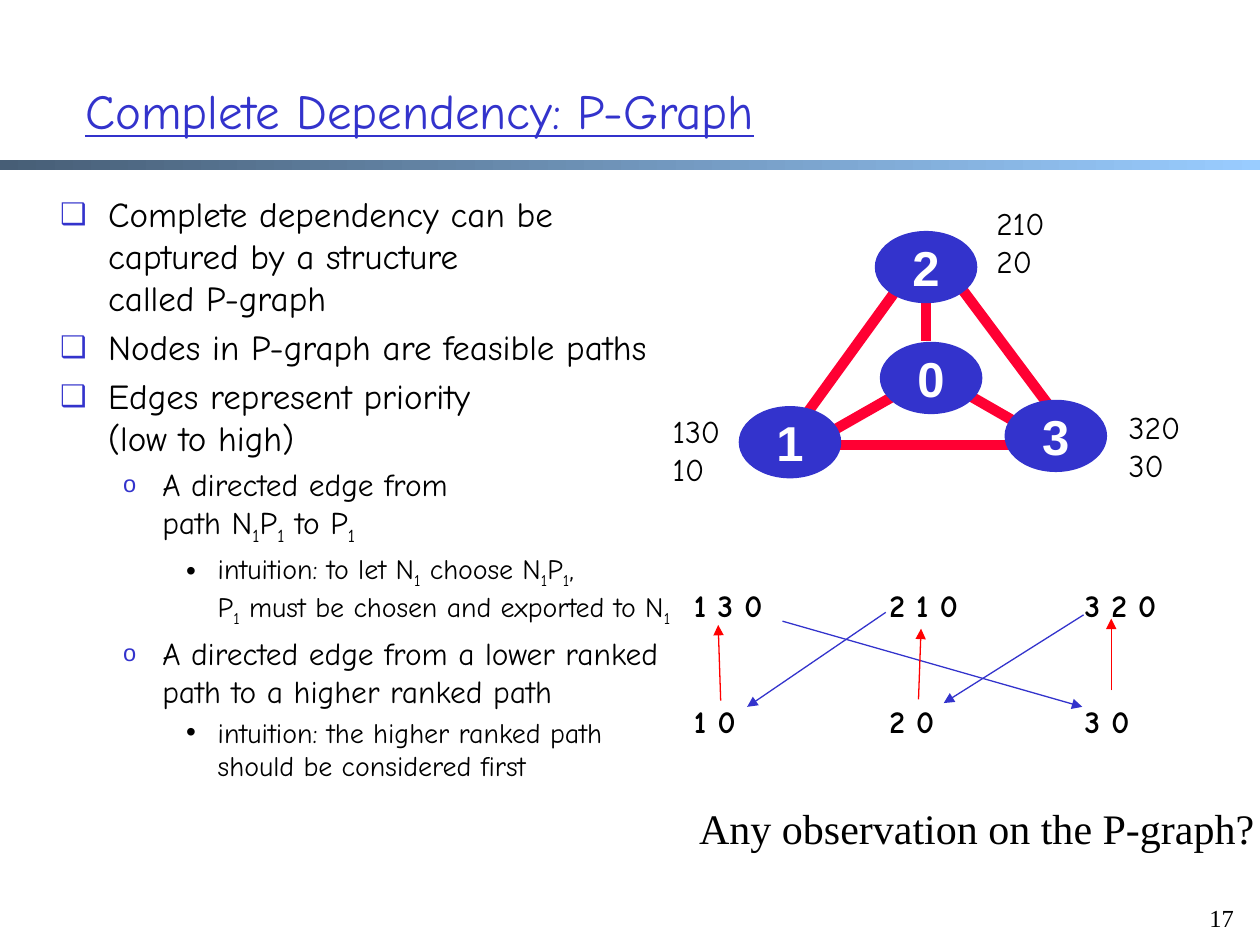
from lxml.etree import SubElement
from pptx import Presentation
from pptx.dml.color import RGBColor
from pptx.enum.shapes import MSO_CONNECTOR, MSO_SHAPE
from pptx.enum.text import MSO_ANCHOR, PP_ALIGN
from pptx.oxml.ns import qn
from pptx.util import Inches, Pt

# Grid of 100 columns by 75 rows; every length below counts its cells
COLUMNS, ROWS = 100, 75
CELL = Inches(10) / COLUMNS
HAND, SANS, SERIF = "Comic Neue", "Arial", "Times New Roman"
BLUE, RED, EDGE, BLACK, WHITE = "3333CC", "FF0000", "FF0033", "000000", "FFFFFF"

# Level: size, left margin, hanging indent (inches), bullet, bullet colour, bullet %
LEVELS = [
    (20, 0.38, 0.38, "❑", BLUE, 85),
    (18, 0.81, 0.31, "o", BLUE, 75),
    (16, 1.25, 0.25, "•", BLACK, 100),
]
# An underscore lowers the character after it
BULLETS = [
    (0, "Complete dependency can be captured by a structure\ncalled P-graph"),
    (0, "Nodes in P-graph are feasible paths"),
    (0, "Edges represent priority \n(low to high)"),
    (1, "A directed edge from \npath N_1P_1 to P_1"),
    (2, "intuition: to let N_1 choose N_1P_1, \n"
        "P_1 must be chosen and exported to N_1"),
    (1, "A directed edge from a lower ranked path to a higher ranked path"),
    (2, "intuition: the higher ranked path should be considered first"),
]


def cells(count):
    return round(count * CELL)


def color(value):
    return RGBColor.from_string(value)


def add_run(paragraph, text, size, font=HAND, ink=BLACK, bold=False):
    run = paragraph.add_run()
    run.text = text
    run.font.size, run.font.name, run.font.bold = Pt(size), font, bold
    run.font.color.rgb = color(ink)
    return run


def add_text(slide, box, lines, size, font=HAND, ink=BLACK, bold=False, wrap=True):
    shape = slide.shapes.add_textbox(*map(cells, box))
    frame = shape.text_frame
    frame.word_wrap = wrap
    for index, line in enumerate(lines):
        paragraph = frame.add_paragraph() if index else frame.paragraphs[0]
        add_run(paragraph, line, size, font, ink, bold)
    return frame


def add_line(slide, origin, start, end, ink, width, arrow=False):
    (left, top), (x1, y1), (x2, y2) = origin, start, end
    line = slide.shapes.add_connector(
        MSO_CONNECTOR.STRAIGHT,
        *map(cells, (left + x1, top + y1, left + x2, top + y2)))
    line.line.color.rgb = color(ink)
    line.line.width = Pt(width)
    properties = line._element.spPr
    if arrow:
        SubElement(properties.find(qn("a:ln")), qn("a:tailEnd"), type="triangle")
    SubElement(properties, qn("a:effectLst"))


def set_bullet(paragraph, margin, indent, mark, ink, percent):
    properties = paragraph._p.get_or_add_pPr()
    properties.set("marL", str(Inches(margin)))
    properties.set("indent", str(-Inches(indent)))
    bullet_color = SubElement(properties, qn("a:buClr"))
    SubElement(bullet_color, qn("a:srgbClr"), val=ink)
    SubElement(properties, qn("a:buSzPct"), val=str(percent * 1000))
    SubElement(properties, qn("a:buFont"), typeface=SANS)
    SubElement(properties, qn("a:buChar"), char=mark)


def add_marked_text(paragraph, text, size):
    for row, line in enumerate(text.split("\n")):
        if row:
            paragraph.add_line_break()
        first, *others = line.split("_")
        add_run(paragraph, first, size)
        for part in others:
            lowered = add_run(paragraph, part[0], size)
            lowered._r.get_or_add_rPr().set("baseline", "-25000")
            if part[1:]:
                add_run(paragraph, part[1:], size)


def build_header(slide, box):
    left, top, width, height = box
    # Gradient rule across the slide
    rule = slide.shapes.add_shape(
        MSO_SHAPE.RECTANGLE, *map(cells, (left, top + 10.2, width, 0.8)))
    rule.shadow.inherit = False
    rule.line.fill.background()
    rule.fill.gradient()
    rule.fill.gradient_angle = 0
    for stop, ink in zip(rule.fill.gradient_stops, ("475E76", "99CCFF")):
        stop.color.rgb = color(ink)
    # Title
    frame = add_text(slide, (left + 5.8, top, width - 8.7, height),
                     ["Complete Dependency: P-Graph"], 28, ink=BLUE)
    frame.vertical_anchor = MSO_ANCHOR.MIDDLE
    frame.paragraphs[0].runs[0].font.underline = True


def build_body(slide, box):
    frame = slide.shapes.add_textbox(*map(cells, box)).text_frame
    frame.word_wrap = True
    for index, (level, text) in enumerate(BULLETS):
        size, *bullet = LEVELS[level]
        paragraph = frame.add_paragraph() if index else frame.paragraphs[0]
        paragraph.level = level
        paragraph.space_before = Pt(0.2 * size if index else 0)
        set_bullet(paragraph, *bullet)
        add_marked_text(paragraph, text, size)


def build_network(slide, box):
    left, top, _, _ = box
    # Edges, drawn first so the nodes cover their ends
    for start, end in [
        ((32.8, 19.1), (22.5, 5.3)), ((20.2, 5.3), (9.4, 20.2)),
        ((21.1, 3.7), (21.1, 11.4)), ((20.7, 14.5), (13.5, 18.6)),
        ((29.6, 18.6), (24.2, 15.5)), ((33.7, 19.6), (9.4, 19.6)),
    ]:
        add_line(slide, (left, top), start, end, EDGE, 6)
    # Nodes
    for name, x, y in [("2", 17.1, 2.7), ("0", 17.5, 11.5),
                       ("3", 27.4, 16.1), ("1", 6.3, 16.6)]:
        node = slide.shapes.add_shape(
            MSO_SHAPE.OVAL, *map(cells, (left + x, top + y, 8, 5.6)))
        node.shadow.inherit = False
        node.fill.solid()
        node.fill.fore_color.rgb = node.line.color.rgb = color(BLUE)
        node.line.width = Pt(1)
        frame = node.text_frame
        frame.margin_top = frame.margin_bottom = 0
        frame.word_wrap = False
        frame.vertical_anchor = MSO_ANCHOR.MIDDLE
        frame.paragraphs[0].alignment = PP_ALIGN.CENTER
        add_run(frame.paragraphs[0], name, 28, SANS, WHITE, True)
    # Ranked paths beside the outer nodes
    for x, y, paths in [(36.2, 16.2, ("320", "30")), (25.7, 0, ("210", "20")),
                        (0, 16.5, ("130", "10"))]:
        add_text(slide, (left + x, top + y, 6.4, 7), paths, 18, wrap=False)


def build_path_graph(slide, box):
    left, top, width, height = box
    label_width, label_height = 12, 4
    column_step = (width - label_width) / 2
    row_step = height - label_height
    # Paths: three columns, two rows
    for row, names in enumerate([("1 3 0", "2 1 0", "3 2 0"), ("1 0", "2 0", "3 0")]):
        for column, name in enumerate(names):
            add_text(slide, (left + column * column_step, top + row * row_step,
                             label_width, label_height), [name], 18, bold=True)
    # Blue: path to its suffix; red: lower to higher rank
    for ink, arrows in [
        (BLUE, [((8, 3.3), (31.8, 10.1)), ((16.2, 2.6), (5.2, 10.1)),
                ((31.9, 2.8), (20.8, 9.8))]),
        (RED, [((3.1, 9.6), (2.9, 3.6)), ((18.8, 9.5), (19, 3.9)),
               ((34.1, 8.8), (34.1, 3.1))]),
    ]:
        for start, end in arrows:
            add_line(slide, (left, top), start, end, ink, 0.75, arrow=True)


def build_footer(slide, box):
    left, top, width, height = box
    add_text(slide, (left, top, 47.2, 5), ["Any observation on the P-graph?"],
             24, SERIF, wrap=False)
    add_text(slide, (left + width - 5, top + height - 3.8, 5, 5), ["17"], 14, SERIF)


def main():
    presentation = Presentation()
    presentation.slide_width = cells(COLUMNS)
    presentation.slide_height = cells(ROWS)
    slide = presentation.slides.add_slide(presentation.slide_layouts[6])
    build_header(slide, (0, 2.5, COLUMNS, 12.5))
    build_body(slide, (3.8, 14.8, 50.4, 53.1))
    build_path_graph(slide, (54.1, 46, 43, 13.2))
    build_network(slide, (52.4, 15.7, 42.8, 23.2))
    build_footer(slide, (54.5, 63.2, 45.5, 11.8))
    presentation.save("out.pptx")


if __name__ == "__main__":
    main()
